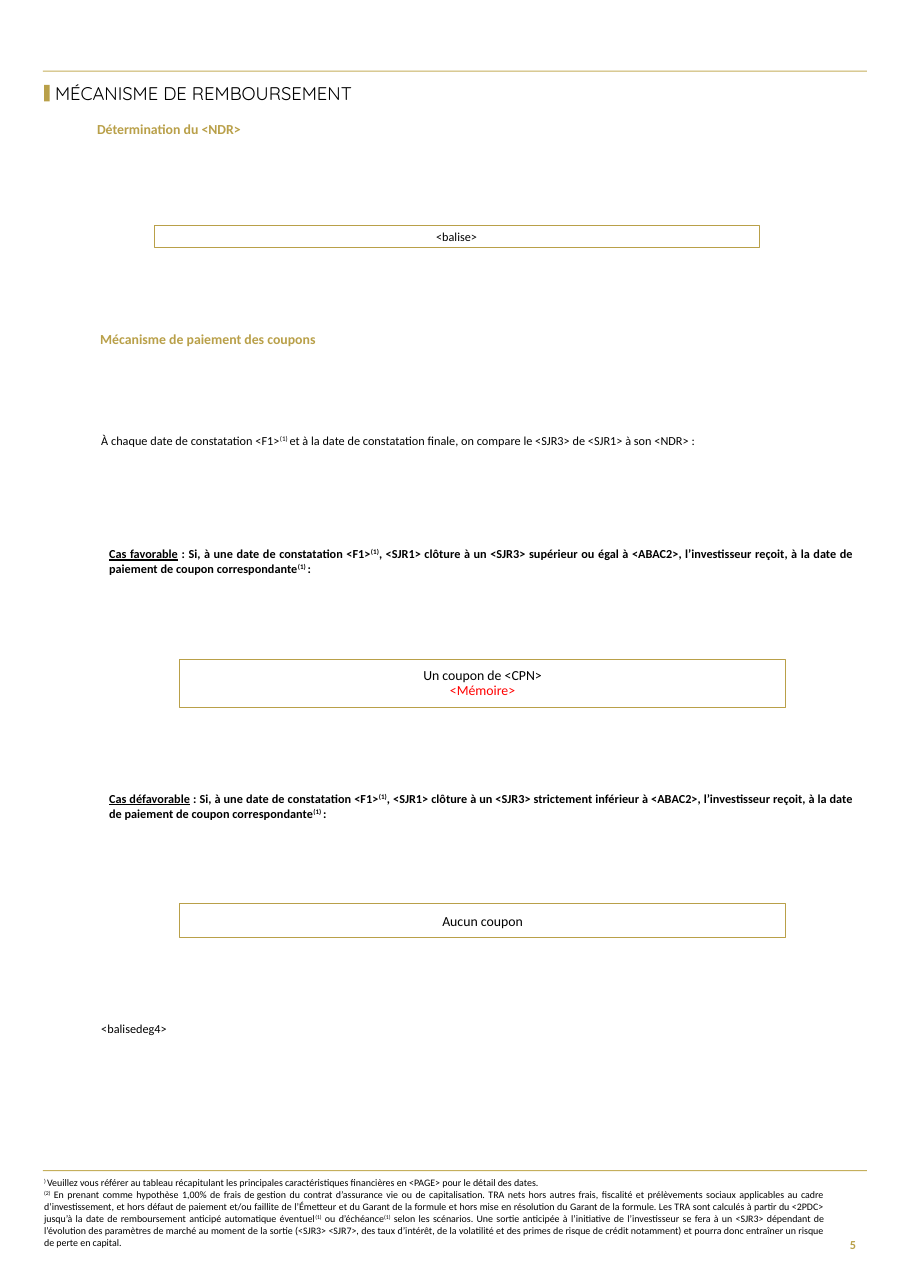
from dataclasses import dataclass

from pptx import Presentation
from pptx import util as u
from pptx.dml.color import RGBColor
from pptx.enum import shapes, text


@dataclass(frozen=True)
class Theme:
    gold: str = "B9A049"
    rule: str = "C5AF5C"
    black: str = "000000"
    white: str = "FFFFFF"
    red: str = "FF0000"
    body_font: str = "Calibri"
    title_font: str = "Quicksand"
    note_size: float = 6.5
    body_size: float = 8
    accent_size: float = 9
    title_size: float = 12


THEME = Theme()
LEFT, CENTER, RIGHT, JUSTIFY = (
    text.PP_ALIGN.LEFT, text.PP_ALIGN.CENTER, text.PP_ALIGN.RIGHT, text.PP_ALIGN.JUSTIFY)
MIDDLE = text.MSO_ANCHOR.MIDDLE

NOTES = [
    "^) ^Veuillez vous référer au tableau récapitulant les principales caractéristiques "
    "financières en <PAGE> pour le détail des dates. ",
    "^(2)^ En prenant comme hypothèse 1,00% de frais de\u00a0gestion du contrat d’assurance vie "
    "ou de capitalisation. TRA nets hors autres frais, fiscalité et prélèvements sociaux "
    "applicables au cadre d’investissement, et hors défaut de paiement et/ou faillite de "
    "l’Émetteur et du Garant de la formule et hors mise en résolution du Garant de la formule. "
    "Les TRA sont calculés à partir du <2PDC> jusqu’à la date de remboursement anticipé "
    "automatique éventuel^(1)^ ou d’échéance^(1)^ selon les scénarios. Une sortie anticipée à "
    "l’initiative de l’investisseur se fera à un <SJR3> dépendant de l’évolution des paramètres "
    "de marché au moment de la sortie (<SJR3> <SJR7>, des taux d’intérêt, de la volatilité et "
    "des primes de\u00a0risque de crédit notamment) et pourra donc entraîner un risque de perte "
    "en capital.",
]


def write(shape, lines, size, color=THEME.black, font=THEME.body_font, bold=False,
          align=JUSTIFY, anchor=text.MSO_ANCHOR.TOP, inset=(0, 0), spacing=None):
    frame = shape.text_frame
    frame.word_wrap = True
    frame.vertical_anchor = anchor
    frame.margin_left = frame.margin_right = u.Pt(inset[0])
    frame.margin_top = frame.margin_bottom = u.Pt(inset[1])
    frame.text = "\n".join(lines)
    for paragraph, line in zip(frame.paragraphs, lines):
        paragraph.alignment = align
        paragraph.line_spacing = spacing
        paragraph.clear()
        for index, part in enumerate(line.split("^")):
            if not part:
                continue
            run = paragraph.add_run()
            run.text = part
            run.font.size = u.Pt(size)
            run.font.name = font
            run.font.bold = bold
            run.font.color.rgb = RGBColor.from_string(color)
            if index % 2:
                run.font._element.set("baseline", "30000")
    return frame


def add_text(slide, box, lines, size, **style):
    return write(slide.shapes.add_textbox(*map(u.Pt, box)), lines, size, **style)


def add_rectangle(slide, box, fill=None, line=None, line_width=0.75):
    shape = slide.shapes.add_shape(shapes.MSO_SHAPE.RECTANGLE, *map(u.Pt, box))
    shape.shadow.inherit = False
    if fill:
        shape.fill.solid()
        shape.fill.fore_color.rgb = RGBColor.from_string(fill)
    else:
        shape.fill.background()
    if line:
        shape.line.color.rgb = RGBColor.from_string(line)
        shape.line.width = u.Pt(line_width)
    else:
        shape.line.fill.background()
    return shape


def add_framed_text(slide, box, lines, size, fill=None, line_width=0.75, spacing=None):
    shape = add_rectangle(slide, box, fill, THEME.gold, line_width)
    return write(shape, lines, size, align=CENTER, anchor=MIDDLE,
                 inset=(8.6, 5.8), spacing=spacing)


def page_frame(slide, box, number):
    left, top, width, height = box
    for rule_top in (top, top + height):
        add_rectangle(slide, (left, rule_top, width, 0.7), THEME.rule)
    add_text(slide, (left + width - 28, top + height + 33.9, 28, 30.2), [number],
             THEME.body_size, color=THEME.gold, bold=True, align=RIGHT,
             anchor=MIDDLE, inset=(7.2, 3.6))


def page_title(slide, box, title):
    left, top, width, height = box
    add_rectangle(slide, (left, top + 2.9, 3.6, 10.8), THEME.gold)
    add_text(slide, (left + 7.2, top, width - 7.2, height), [title], THEME.title_size,
             font=THEME.title_font, align=LEFT, anchor=MIDDLE, spacing=0.9)


def section_heading(slide, box, heading):
    frame = add_text(slide, box, [heading], THEME.accent_size, color=THEME.gold,
                     bold=True, align=LEFT)
    properties = frame.paragraphs[0]._p.get_or_add_pPr()
    properties.set("marL", str(u.Pt(14.4)))
    properties.set("indent", "0")


def coupon_case(slide, box, name, condition, outcome, outcome_height):
    left, top, width, height = box
    sentence = (f"^^{name}^^ : Si, à une date de constatation <F1>^(1)^, <SJR1> clôture à un "
                f"<SJR3> {condition} à <ABAC2>, l’investisseur reçoit, à la date de paiement "
                "de coupon correspondante^(1) ^: ")
    frame = add_text(slide, (left, top, width, 19.4), [sentence], THEME.body_size, bold=True)
    frame.paragraphs[0].runs[0].font.underline = True
    return add_framed_text(
        slide, (left + 46.1, top + height - outcome_height, 396, outcome_height),
        outcome, THEME.accent_size, fill=THEME.white,
        spacing=0.9 if len(outcome) > 1 else None)


def main():
    presentation = Presentation()
    presentation.slide_width = u.Pt(595.44)
    presentation.slide_height = u.Pt(841.68)
    slide = presentation.slides.add_slide(presentation.slide_layouts[6])

    page_frame(slide, (28.1, 46.1, 538.6, 718.5), "5")
    add_text(slide, (28.8, 769, 510.5, 47.5), NOTES, THEME.note_size)
    page_title(slide, (28.8, 52.6, 310.3, 18), "MÉCANISME DE REMBOURSEMENT")

    section_heading(slide, (49, 79.2, 228, 13), "Détermination du <NDR>")
    add_framed_text(slide, (100.8, 147.6, 395.3, 14.4), ["<balise>"],
                    THEME.body_size, line_width=0.5)

    section_heading(slide, (51.1, 216, 487.4, 12.2), "Mécanisme de paiement des coupons")
    add_text(slide, (66.2, 283, 473, 9.4),
             ["À chaque date de constatation <F1>^(1) ^et à la date de constatation finale, "
              "on compare le <SJR3> de <SJR1> à son <NDR> :"], THEME.body_size)

    favourable = coupon_case(slide, (71.3, 357.1, 486.7, 105.1), "Cas favorable",
                             "supérieur ou égal", ["Un coupon de <CPN>", "<Mémoire>"], 31)
    favourable.paragraphs[1].runs[0].font.color.rgb = RGBColor.from_string(THEME.red)
    coupon_case(slide, (71.3, 517, 486.7, 95.7), "Cas défavorable",
                "strictement inférieur", ["Aucun coupon"], 22.3)

    add_text(slide, (66.2, 667.4, 486.7, 9.4), ["<balisedeg4>"], THEME.body_size)
    presentation.save("out.pptx")


main()
